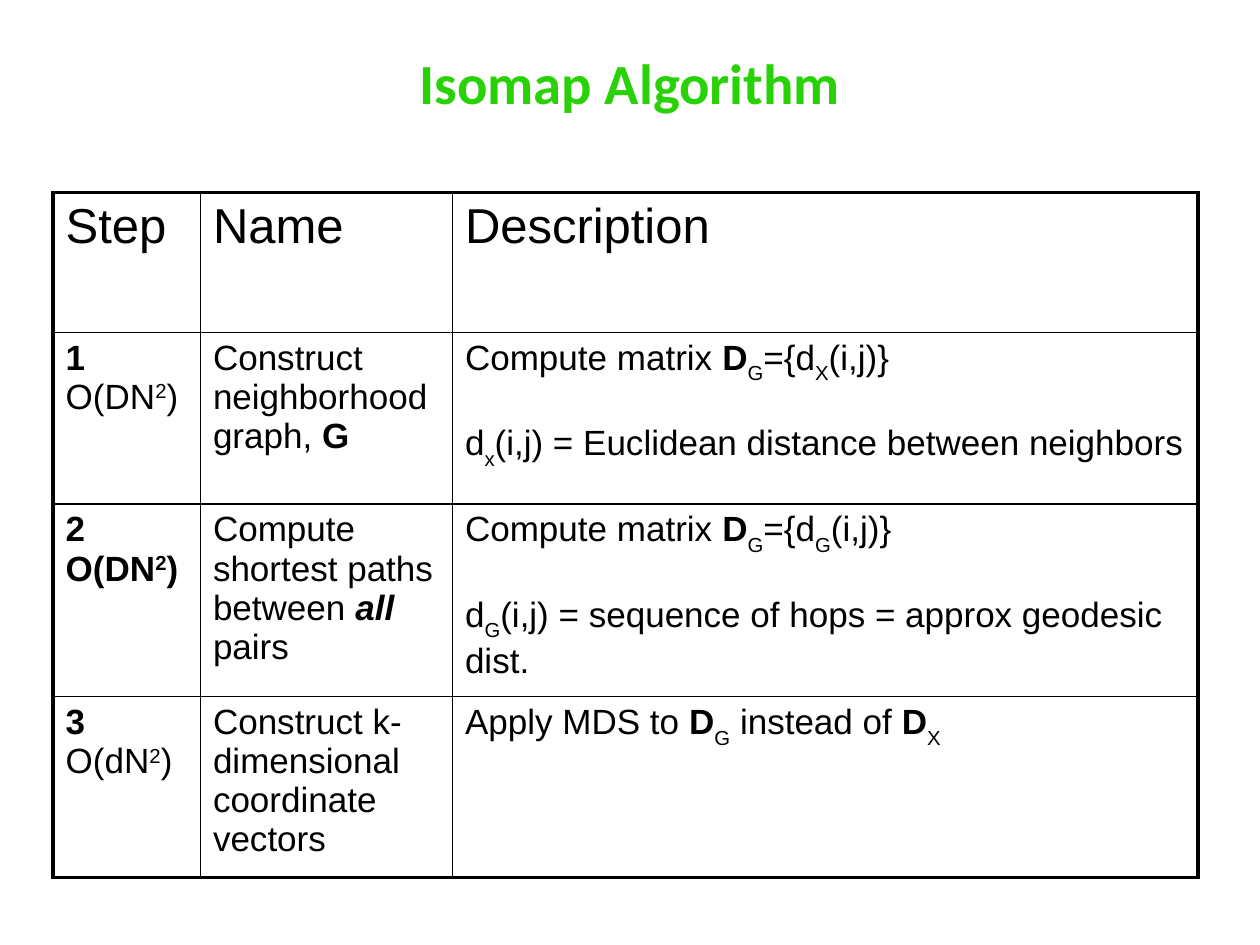
from dataclasses import dataclass

from lxml import etree
from pptx import Presentation
from pptx import util as u
from pptx.dml.color import RGBColor
from pptx.enum import text
from pptx.oxml import ns


@dataclass(frozen=True)
class Theme:
    title_color: RGBColor = RGBColor(0x29, 0xD1, 0x07)
    ink: RGBColor = RGBColor(0, 0, 0)
    title_font: str = "Calibri"
    body_font: str = "Arial"
    title_size: float = 32.4
    header_size: int = 28
    body_size: int = 20
    inner_line: float = 1
    outer_line: float = 2.25
    line_gap: float = 22.3


theme = Theme()
BASELINE = {"sub": "-30000", "sup": "30000"}


def write_line(paragraph, pieces, size):
    """Fill a paragraph from plain strings and (text, style words) pairs."""
    paragraph.font.name = theme.body_font
    for piece in pieces:
        words, style = (piece, "") if isinstance(piece, str) else piece
        run = paragraph.add_run()
        run.text = words
        run.font.name = theme.body_font
        run.font.size = u.Pt(size)
        run.font.color.rgb = theme.ink
        run.font.bold = "bold" in style
        run.font.italic = "italic" in style
        for shift, value in BASELINE.items():
            if shift in style:
                run._r.get_or_add_rPr().set("baseline", value)


def set_borders(cell, widths):
    """Draw the left, right, top and bottom lines of a cell."""
    properties = cell._tc.get_or_add_tcPr()
    for place, (side, width) in enumerate(zip("LRTB", widths)):
        line = etree.Element(ns.qn(f"a:ln{side}"), w=str(u.Pt(width)))
        fill = etree.SubElement(line, ns.qn("a:solidFill"))
        etree.SubElement(fill, ns.qn("a:srgbClr"), val=str(theme.ink))
        properties.insert(place, line)


# Content: each cell is a list of lines, each line a list of pieces
D = ("D", "bold")
SUB_G, SUB_X = ("G", "sub"), ("X", "sub")
SQUARED = ("2", "sup")
steps = [
    [[["Step"]], [["Name"]], [["Description"]]],
    [
        [[("1", "bold")], ["O(DN", SQUARED, ")"]],
        [["Construct neighborhood graph, ", ("G", "bold")]],
        [["Compute matrix ", D, SUB_G, "={d", SUB_X, "(i,j)}"],
         ["d", ("x", "sub"), "(i,j) = Euclidean distance between neighbors"]],
    ],
    [
        [[("2", "bold")], [("O(DN", "bold"), ("2", "bold sup"), (")", "bold")]],
        [["Compute shortest paths between ", ("all", "bold italic"), " pairs"]],
        [["Compute matrix ", D, SUB_G, "={d", SUB_G, "(i,j)}"],
         ["d", SUB_G, "(i,j) = sequence of hops = approx geodesic dist."]],
    ],
    [
        [[("3", "bold")], ["O(dN", SQUARED, ")"]],
        [["Construct k-dimensional coordinate vectors"]],
        [["Apply MDS to ", D, SUB_G, " instead of ", D, SUB_X]],
    ],
]
column_widths = [2.97, 5.08, 15.03]
row_heights = [2.82, 3.46, 3.69, 3.4]

# Slide
deck = Presentation()
deck.slide_width, deck.slide_height = u.Cm(25.4), u.Cm(19.05)
slide = deck.slides.add_slide(deck.slide_layouts[6])

# Title
title = slide.shapes.add_textbox(u.Cm(1.27), u.Cm(0.76), u.Cm(22.86), u.Cm(1.78)).text_frame
title.word_wrap = True
title.vertical_anchor = text.MSO_ANCHOR.MIDDLE
heading = title.paragraphs[0]
heading.text = "Isomap Algorithm"
heading.alignment = text.PP_ALIGN.CENTER
heading.font.name = theme.title_font
heading.font.size = u.Pt(theme.title_size)
heading.font.bold = True
heading.font.color.rgb = theme.title_color

# Table of steps
algorithm = slide.shapes.add_table(
    len(row_heights), len(column_widths), u.Cm(1.07), u.Cm(3.88),
    u.Cm(sum(column_widths)), u.Cm(sum(row_heights))).table
algorithm.first_row = algorithm.horz_banding = False
for column, width in zip(algorithm.columns, column_widths):
    column.width = u.Cm(width)
for row, height in zip(algorithm.rows, row_heights):
    row.height = u.Cm(height)

last_row, last_column = len(row_heights) - 1, len(column_widths) - 1
for r, step in enumerate(steps):
    for c, lines in enumerate(step):
        cell = algorithm.cell(r, c)
        cell.fill.background()
        on_edge = (c == 0, c == last_column, r == 0, r == last_row)
        set_borders(cell, [theme.outer_line if edge else theme.inner_line for edge in on_edge])
        for n, pieces in enumerate(lines):
            frame = cell.text_frame
            paragraph = frame.add_paragraph() if n else frame.paragraphs[0]
            write_line(paragraph, pieces, theme.body_size if r else theme.header_size)
            # The second line of a description stands one line lower
            if n and c == last_column:
                paragraph.space_before = u.Pt(theme.line_gap)

deck.save("out.pptx")
